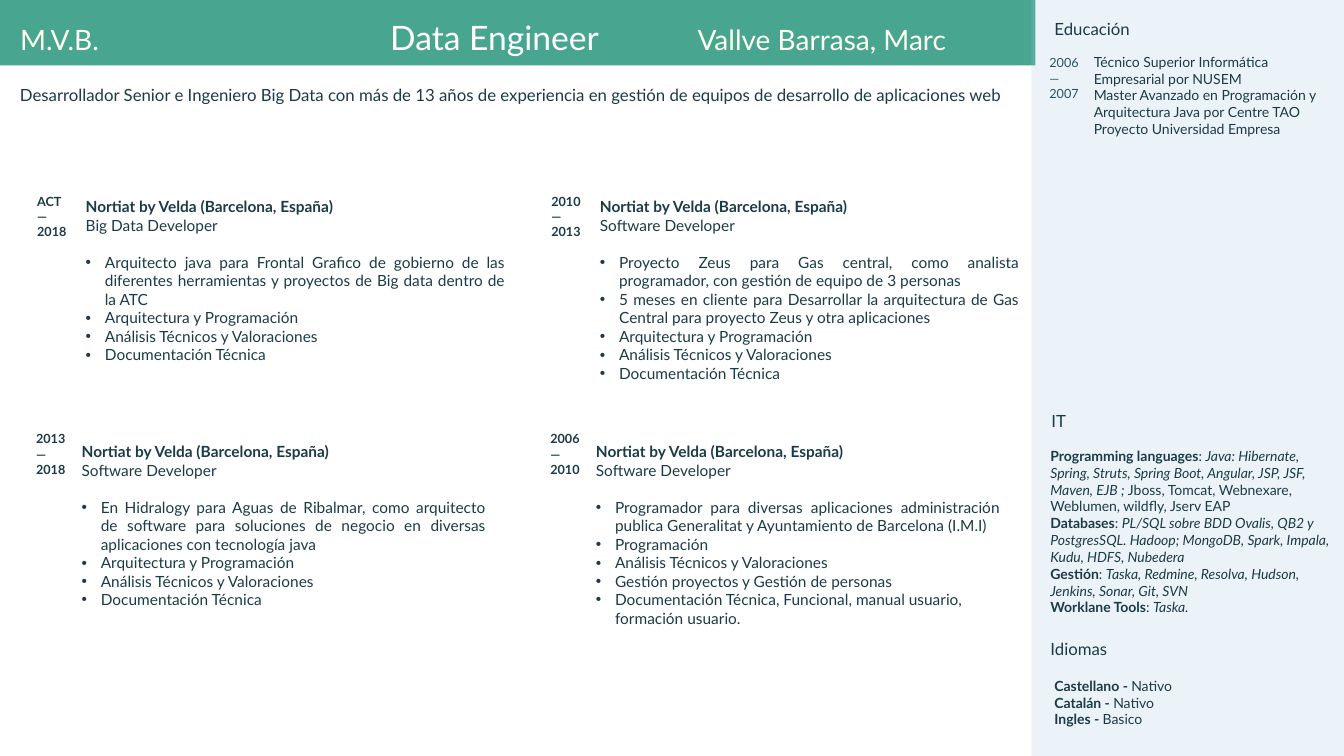
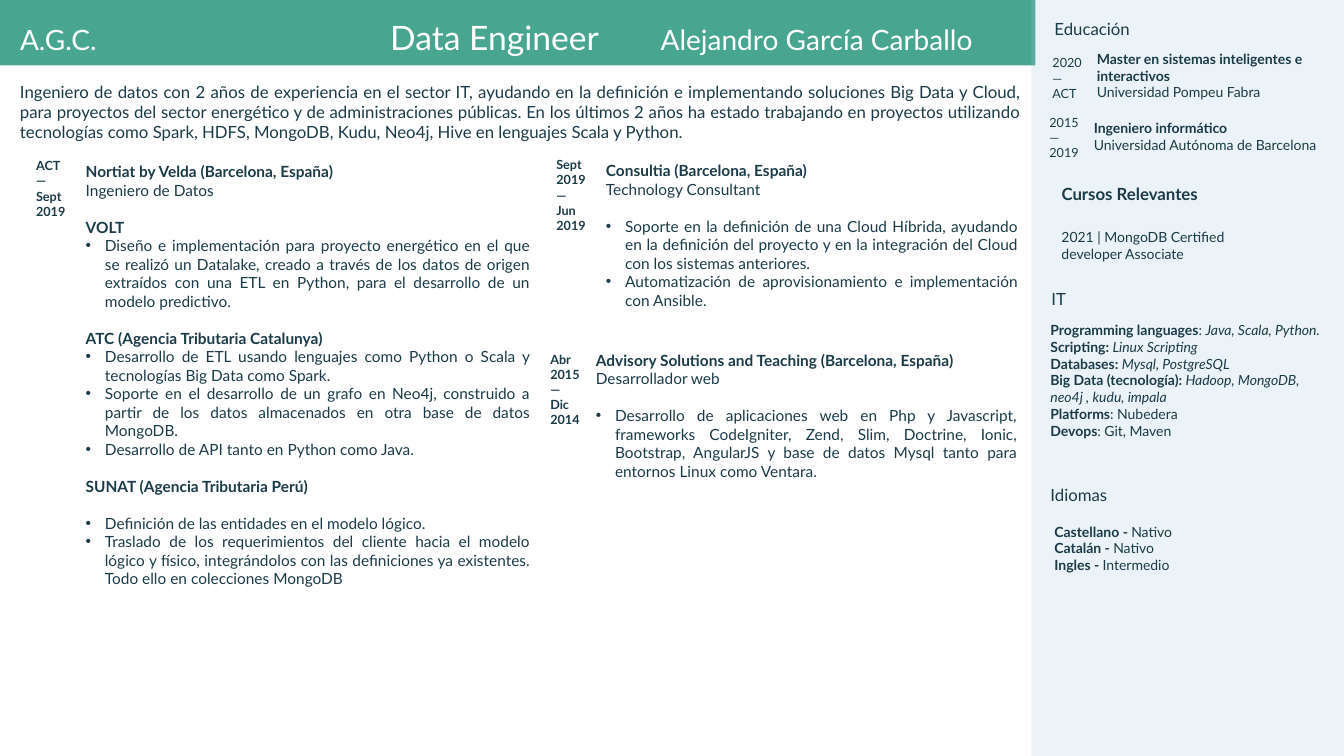
from lxml.etree import SubElement
from pptx import Presentation
from pptx.dml.color import RGBColor
from pptx.enum.shapes import MSO_SHAPE as Shape
from pptx.enum.text import MSO_ANCHOR as Anchor, MSO_AUTO_SIZE as AutoSize, PP_ALIGN as Align
from pptx.oxml.ns import qn
from pptx.util import Inches, Pt

INK, SLATE, GREEN, SKY = "1A3B47", "255465", "48A690", "A1C5E0"
WHITE, CREAM = "FFFFFF", "FFFDEF"
GAP = 13.2
LINE_KINDS = {
    "head": dict(bold=True),
    "role": {},
    "sub": dict(bold=True, before=GAP),
    "first": dict(bullet=True, before=GAP),
    "item": dict(bullet=True),
    "ragged": dict(bullet=True, align=Align.LEFT),
}


def color(value):
    return RGBColor.from_string(value)


def set_format(target, values):
    for name, value in values.items():
        setattr(target, name, value)


class ResumeDeck:
    font_name = "Lato"
    layout_index = 4

    def __init__(self):
        self.presentation = Presentation()
        set_format(self.presentation, dict(slide_width=Inches(13.33), slide_height=Inches(7.5)))

    def start(self, initials, name, name_left, name_width, name_align, name_color):
        layout = self.presentation.slide_layouts[self.layout_index]
        self.slide = self.presentation.slides.add_slide(layout)
        self.bodies = [shape for shape in self.slide.placeholders
                       if shape.placeholder_format.idx]
        self.band(10.23, 3.1, 7.5, SKY, 20)
        self.band(0, 10.27, 0.65, GREEN)
        title = self.prepare(self.slide.shapes.title, 3.77, 0.12, 2.94, 0.5)
        self.fill_paragraph(title.paragraphs[0], "Data Engineer", 24, WHITE)
        self.text(0.1, 0.17, 2.99, 0.44, [initials], 20, name_color)
        self.text(name_left, 0.17, name_width, 0.44, [name], 20, name_color, align=name_align)

    def band(self, left, width, height, fill, opacity=100):
        shape = self.slide.shapes.add_shape(
            Shape.RECTANGLE, Inches(left), 0, Inches(width), Inches(height))
        shape.shadow.inherit = False
        shape.fill.solid()
        shape.fill.fore_color.rgb = color(fill)
        shape.line.fill.background()
        if opacity < 100:
            fill_color = shape.element.spPr.find(qn("a:solidFill"))[0]
            SubElement(fill_color, qn("a:alpha"), val=str(opacity * 1000))
        shape.element.getparent().insert(2, shape.element)

    def prepare(self, shape, left, top, width, height):
        set_format(shape, dict(left=Inches(left), top=Inches(top),
                               width=Inches(width), height=Inches(height)))
        frame = shape.text_frame
        set_format(frame, dict(word_wrap=True, auto_size=AutoSize.NONE,
                               vertical_anchor=Anchor.TOP))
        return frame

    def fill_paragraph(self, paragraph, content, size, ink=INK, bold=False, align=Align.LEFT,
                       before=0, bullet=False):
        properties = paragraph._p.get_or_add_pPr()
        indent = Inches(0.19) if bullet else 0
        properties.set("marL", str(indent))
        properties.set("indent", str(-indent))
        if bullet:
            SubElement(properties, qn("a:buFont"), typeface="Arial")
            SubElement(properties, qn("a:buChar"), char="•")
        else:
            SubElement(properties, qn("a:buNone"))
        set_format(paragraph, dict(alignment=align, space_before=Pt(before), space_after=Pt(0)))
        runs = [(content, "b" if bold else "")] if isinstance(content, str) else content
        for words, style in runs:
            run = paragraph.add_run()
            run.text = words
            set_format(run.font, dict(name=self.font_name, size=Pt(size),
                                      bold="b" in style, italic="i" in style))
            run.font.color.rgb = color(ink)

    def fill_frame(self, frame, lines):
        for index, (content, values) in enumerate(lines):
            paragraph = frame.add_paragraph() if index else frame.paragraphs[0]
            self.fill_paragraph(paragraph, content, **values)

    def text(self, left, top, width, height, lines, size, ink=INK, bold=False, align=Align.LEFT):
        box = self.slide.shapes.add_textbox(0, 0, 0, 0)
        frame = self.prepare(box, left, top, width, height)
        values = dict(size=size, ink=ink, bold=bold, align=align)
        self.fill_frame(frame, [(line, values) for line in lines])

    def period(self, left, top, end, start, ink=INK, bold=False):
        self.text(left, top, 0.6, 0.71, [end, "—", start], 9, ink, bold)

    def heading(self, left, top, words, bold=False):
        self.text(left, top, 2.15, 0.3, [words], 12, bold=bold)

    def details(self, left, top, width, height, lines):
        self.text(left, top, width, height, lines, 10)

    def job(self, dates_at, dates, body_at, lines):
        self.period(*dates_at, *dates, bold=True)
        frame = self.prepare(self.bodies.pop(0), *body_at)
        self.fill_frame(frame, [
            (words, dict(size=11, align=Align.JUSTIFY) | LINE_KINDS[kind])
            for kind, words in lines])

    def skills(self, heading_top, top, height, lines):
        self.heading(10.33, heading_top, "IT")
        self.details(10.32, top, 3, height, lines)

    def languages(self, top, levels):
        self.heading(10.32, top, "Idiomas")
        self.details(10.36, top + 0.38, 2.97, 0.61,
                     [[(f"{language} - ", "b"), (level, "")] for language, level in levels])

    def finish(self):
        for shape in self.bodies:
            shape.element.getparent().remove(shape.element)


def senior_slide(deck):
    deck.start("M.V.B.", "Vallve Barrasa, Marc", 6.82, 3.42, Align.LEFT, CREAM)
    deck.text(0.1, 0.79, 10.13, 0.3, [
        "Desarrollador Senior e Ingeniero Big Data con más de 13 años de experiencia en "
        "gestión de equipos de desarrollo de aplicaciones web"], 12)
    employer = ("head", "Nortiat by Velda (Barcelona, España)")
    developer = [employer, ("role", "Software Developer")]
    common = [("item", "Arquitectura y Programación"),
              ("item", "Análisis Técnicos y Valoraciones"),
              ("item", "Documentación Técnica")]
    deck.job((0.27, 1.87), ("ACT", "2018"), (0.75, 1.91, 4.36, 1.77), [
        employer, ("role", "Big Data Developer"),
        ("first", "Arquitecto java para Frontal Grafico de gobierno de las diferentes "
                  "herramientas y proyectos de Big data dentro de la ATC"), *common])
    deck.job((5.37, 1.87), ("2010", "2013"), (5.85, 1.91, 4.36, 1.95), [
        *developer,
        ("first", "Proyecto Zeus para Gas central, como analista programador, con gestión "
                  "de equipo de 3 personas"),
        ("item", "5 meses en cliente para Desarrollar la arquitectura de Gas Central para "
                 "proyecto Zeus y otra aplicaciones"), *common])
    deck.job((0.26, 4.23), ("2013", "2018"), (0.71, 4.34, 4.21, 1.77), [
        *developer,
        ("first", "En Hidralogy para Aguas de Ribalmar, como arquitecto de software para "
                  "soluciones de negocio en diversas aplicaciones con tecnología java"), *common])
    deck.job((5.36, 4.23), ("2006", "2010"), (5.81, 4.34, 4.21, 1.95), [
        *developer,
        ("first", "Programador para diversas aplicaciones administración publica Generalitat "
                  "y Ayuntamiento de Barcelona (I.M.I)"),
        ("ragged", "Programación"),
        ("ragged", "Análisis Técnicos y Valoraciones"),
        ("ragged", "Gestión proyectos y Gestión de personas"),
        ("ragged", "Documentación Técnica, Funcional, manual usuario, formación usuario.")])
    deck.heading(10.36, 0.14, "Educación")
    deck.period(10.31, 0.5, "2006", "2007", SLATE)
    deck.details(10.75, 0.48, 2.57, 1.11, [
        "Técnico Superior Informática Empresarial por NUSEM",
        "Master Avanzado en Programación y Arquitectura Java por Centre TAO "
        "Proyecto Universidad Empresa"])
    deck.skills(4.03, 4.39, 1.78, [
        [("Programming languages", "b"), (": ", ""),
         ("Java: Hibernate, Spring, Struts, Spring Boot, Angular, JSP, JSF, Maven, EJB ; ", "i"),
         ("Jboss, Tomcat, Webnexare, Weblumen, wildfly, Jserv EAP", "")],
        [("Databases", "b"), (": ", ""),
         ("PL/SQL sobre BDD Ovalis, QB2 y PostgresSQL. Hadoop; MongoDB, Spark, Impala, "
          "Kudu, HDFS, Nubedera", "i")],
        [("Gestión", "b"), (": ", ""),
         ("Taska, Redmine, Resolva, Hudson, Jenkins, Sonar, Git, SVN", "i")],
        [("Worklane Tools", "b"), (": ", ""), ("Taska.", "i")]])
    deck.languages(6.29, [("Castellano", "Nativo"), ("Catalán", "Nativo"), ("Ingles", "Basico")])
    deck.finish()


def junior_slide(deck):
    deck.start("A.G.C.", "Alejandro García Carballo", 5.97, 4.26, Align.CENTER, WHITE)
    deck.text(0.1, 0.76, 10.13, 0.71, [
        "Ingeniero de datos con 2 años de experiencia en el sector IT, ayudando en la "
        "definición e implementando soluciones Big Data y Cloud, para proyectos del sector "
        "energético y de administraciones públicas. En los últimos 2 años ha estado trabajando "
        "en proyectos utilizando tecnologías como Spark, HDFS, MongoDB, Kudu, Neo4j, Hive en "
        "lenguajes Scala y Python."], 12, align=Align.JUSTIFY)
    deck.job((0.26, 1.52), ("ACT", "Sept 2019"), (0.75, 1.56, 4.61, 4.36), [
        ("head", "Nortiat by Velda (Barcelona, España)"),
        ("role", "Ingeniero de Datos"),
        ("sub", "VOLT"),
        ("item", "Diseño e implementación para proyecto energético en el que se realizó un "
                 "Datalake, creado a través de los datos de origen extraídos con una ETL en "
                 "Python, para el desarrollo de un modelo predictivo."),
        ("sub", "ATC (Agencia Tributaria Catalunya)"),
        ("item", "Desarrollo de ETL usando lenguajes como Python o Scala y tecnologías Big "
                 "Data como Spark."),
        ("item", "Soporte en el desarrollo de un grafo en Neo4j, construido a partir de los "
                 "datos almacenados en otra base de datos MongoDB."),
        ("item", "Desarrollo de API tanto en Python como Java."),
        ("sub", "SUNAT (Agencia Tributaria Perú)"),
        ("first", "Definición de las entidades en el modelo lógico."),
        ("item", "Traslado de los requerimientos del cliente hacia el modelo lógico y físico, "
                 "integrándolos con las definiciones ya existentes. Todo ello en colecciones "
                 "MongoDB")])
    deck.job((5.42, 1.51), ("Sept 2019", "Jun 2019"), (5.91, 1.55, 4.29, 1.58), [
        ("head", "Consultia (Barcelona, España)"),
        ("role", "Technology Consultant"),
        ("first", "Soporte en la definición de una Cloud Híbrida, ayudando en la definición "
                  "del proyecto y en la integración del Cloud con los sistemas anteriores."),
        ("item", "Automatización de aprovisionamiento e implementación con Ansible.")])
    deck.job((5.36, 3.44), ("Abr 2015", "Dic 2014"), (5.81, 3.43, 4.38, 1.21), [
        ("head", "Advisory Solutions and Teaching (Barcelona, España)"),
        ("role", "Desarrollador web"),
        ("first", "Desarrollo de aplicaciones web en Php y Javascript, frameworks CodeIgniter, "
                  "Zend, Slim, Doctrine, Ionic, Bootstrap, AngularJS y base de datos Mysql "
                  "tanto para entornos Linux como Ventara.")])
    deck.heading(10.36, 0.14, "Educación")
    deck.period(10.34, 0.5, "2020", "ACT")
    deck.details(10.78, 0.45, 2.55, 0.61, [
        [("Master en sistemas inteligentes e interactivos", "b")], "Universidad Pompeu Fabra"])
    deck.period(10.31, 1.09, "2015", "2019")
    deck.details(10.75, 1.14, 2.57, 0.44, [
        [("Ingeniero informático", "b")], "Universidad Autónoma de Barcelona"])
    deck.heading(10.43, 1.77, "Cursos Relevantes", bold=True)
    deck.details(10.43, 2.22, 2, 0.44, ["2021 | MongoDB Certified developer Associate"])
    deck.skills(2.82, 3.14, 1.28, [
        [("Programming languages", "b"), (": ", ""), ("Java, Scala, Python.", "i")],
        [("Scripting: ", "b"), ("Linux Scripting", "i")],
        [("Databases: ", "b"), ("Mysql, PostgreSQL", "i")],
        [("Big Data (tecnología): ", "b"), ("Hadoop, MongoDB, neo4j , kudu, impala", "i")],
        [("Platforms", "b"), (": Nubedera", "")],
        [("Devops", "b"), (": Git, Maven", "")]])
    deck.languages(4.76, [("Castellano", "Nativo"), ("Catalán", "Nativo"),
                          ("Ingles", "Intermedio")])
    deck.finish()


def main():
    deck = ResumeDeck()
    senior_slide(deck)
    junior_slide(deck)
    deck.presentation.save("out.pptx")


if __name__ == "__main__":
    main()
